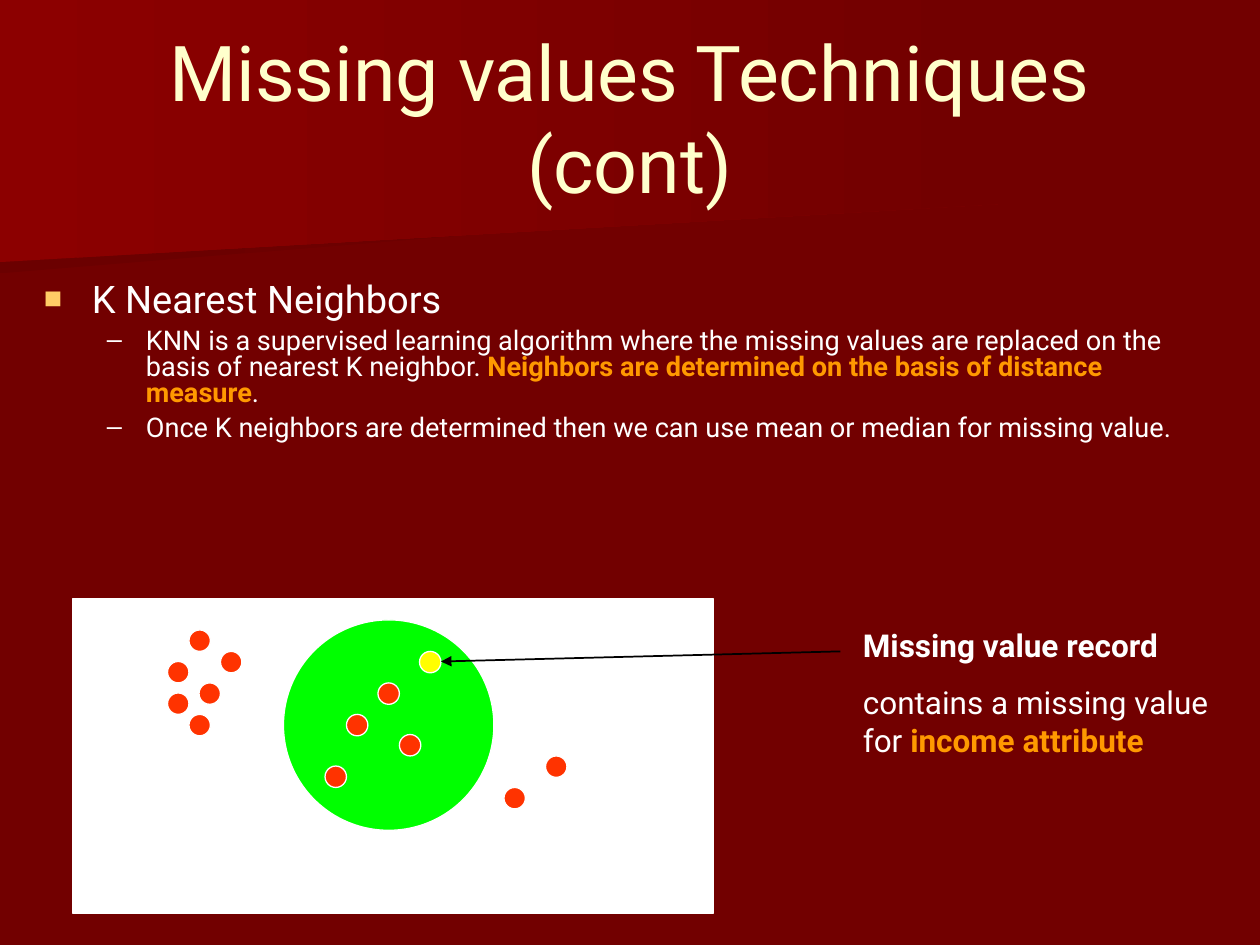
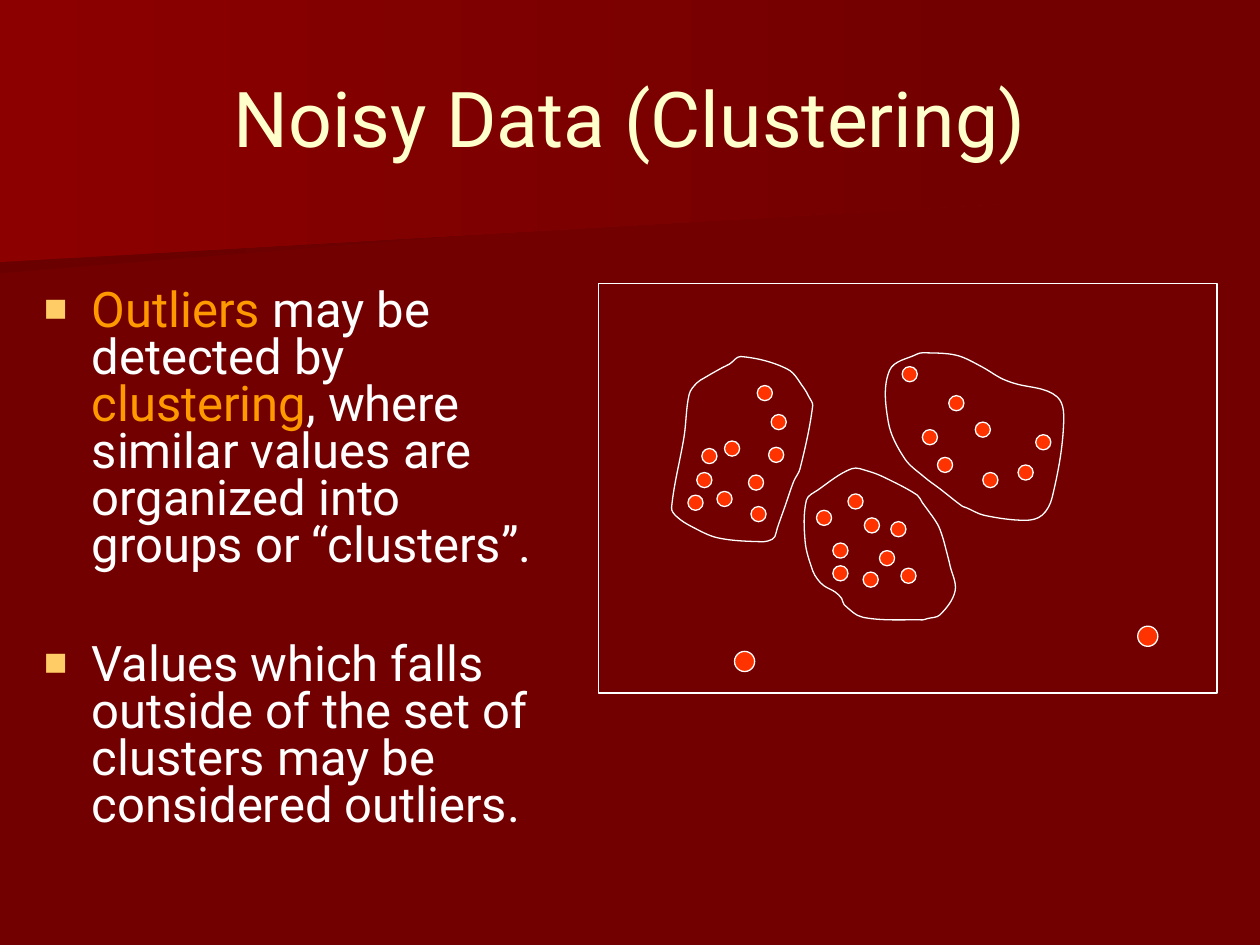
"""Build two slides on missing values and noisy data."""
import math
import pptx
import pptx.util
import pptx.dml.color
import pptx.enum.shapes
import pptx.enum.text
import pptx.oxml

PX = 9144
FONT, SIGN = "Roboto", "Arial"
WINE, CREAM, WHITE, HOT, GOLD = "720000", "FFFFCC", "FFFFFF", "FF9900", "FFCC66"
RED, GREEN, YELLOW, BLACK = "FF3300", "00FF00", "FFFF00", "000000"
KIND = pptx.enum.shapes.MSO_SHAPE

BANDS = [
    ("6B0000", [(778, 153), (0, 217), (0, 101), (779, 101), (778, 128)]),
    ("8C0000", [(792, 162), (0, 208), (0, 0), (792, 0)]),
]

# Text between asterisks is highlighted.
KNN = {
    "title": "Missing values Techniques (cont)",
    "box": (25, 221, 942, 196),
    "text": [
        {"text": "K Nearest Neighbors", "size": 21.7, "mark": "■", "gap": 7},
        {"text": "KNN is a supervised learning algorithm where the missing values are replaced "
                 "on the basis of nearest K neighbor. "
                 "*Neighbors are determined on the basis of distance measure*.",
         "size": 15.5, "mark": "–", "gap": 5, "strong": True},
        {"text": "Once K neighbors are determined then we can use mean or median "
                 "for missing value.", "size": 15.5, "mark": "–", "gap": 5},
    ],
}
NOTE = [
    {"text": "Missing value record", "size": 18, "gap": 11.2, "bold": True},
    {"text": "contains a missing value for *income attribute*", "size": 18, "gap": 11.2,
     "strong": True},
]
NEAR = [(150, 500), (133, 525), (158, 542), (133, 550), (150, 567), (175, 517), (300, 542),
        (275, 567), (317, 583), (258, 608), (400, 625), (433, 600)]

NOISE = {
    "title": "Noisy Data (Clustering)",
    "box": (25, 225, 425, 492),
    "text": [
        {"text": "*Outliers* may be detected by *clustering*, where similar values are "
                 "organized into groups or “clusters”.", "size": 28, "mark": "■", "gap": 7},
        {"text": "Values which falls outside of the set of clusters may be considered outliers.",
         "size": 28, "mark": "■", "gap": 41},
    ],
}
GROUPS = [
    {"dots": [(569, 390), (553, 375), (594, 377), (575, 350), (546, 393), (557, 356),
              (596, 402), (610, 355), (612, 329), (601, 306)],
     "edge": [(630, 382), (623, 402), (617, 419), (615, 426), (613, 428), (606, 430),
              (570, 427), (549, 418), (537, 410), (533, 403), (543, 346), (547, 313),
              (553, 304), (559, 300), (573, 292), (579, 289), (588, 283), (625, 293),
              (638, 308), (642, 315), (645, 322), (635, 372)]},
    {"dots": [(753, 314), (744, 363), (774, 335), (732, 341), (822, 345), (808, 369),
              (780, 375), (716, 291)],
     "edge": [(839, 315), (844, 339), (835, 395), (827, 409), (814, 413), (781, 409),
              (767, 403), (764, 402), (746, 388), (734, 379), (718, 364), (705, 335),
              (706, 294), (728, 281), (733, 280), (759, 282), (779, 291), (794, 300),
              (804, 304)]},
    {"dots": [(648, 405), (707, 414), (685, 454), (698, 437), (661, 431), (661, 449),
              (673, 392), (686, 411), (715, 451)],
     "edge": [(668, 475), (663, 470), (654, 465), (649, 460), (645, 453), (639, 430),
              (640, 397), (649, 389), (676, 372), (689, 374), (702, 379), (728, 393),
              (732, 399), (735, 403), (744, 416), (748, 426), (751, 437), (754, 449),
              (758, 469), (746, 488), (736, 491), (732, 492), (685, 490), (670, 480)]},
]
FAR = [(903, 497), (583, 517)]


def tint(code):
    return pptx.dml.color.RGBColor.from_string(code)


def paint(shape, fill=None, line=None):
    shape.shadow.inherit = False
    for part, code in ((shape.fill, fill), (shape.line.fill, line)):
        if code:
            part.solid()
            part.fore_color.rgb = tint(code)
        else:
            part.background()
    if line:
        shape.line.width = pptx.util.Pt(0.75)


def place(shape, box):
    shape.left, shape.top, shape.width, shape.height = (n * PX for n in box)


def draw(slide, kind, box, fill=None):
    shape = slide.shapes.add_shape(kind, *(n * PX for n in box))
    paint(shape, fill, WHITE)


def dots(slide, kind, spots, size, fill=RED):
    for x, y in spots:
        draw(slide, kind, (x, y, size, size), fill)


def trace(slide, points):
    spots = [(x * PX, y * PX) for x, y in points]
    pen = slide.shapes.build_freeform(*spots[0], scale=1.0)
    pen.add_line_segments(spots[1:], close=True)
    return pen.convert_to_shape()


def lean(points, i):
    (ax, ay), (cx, cy) = points[i - 1], points[(i + 1) % len(points)]
    span = math.hypot(cx - ax, cy - ay)
    return (cx - ax) / span, (cy - ay) / span


def curve(slide, points):
    shape = trace(slide, points + points[:1])
    left, top = (min(p[n] for p in points) for n in (0, 1))
    for i, step in enumerate(shape._element.xpath(".//a:lnTo")):
        j = (i + 1) % len(points)
        (bx, by), (cx, cy) = points[i], points[j]
        (ux, uy), (vx, vy) = lean(points, i), lean(points, j)
        arm = math.dist(points[i], points[j]) / 3
        bend = add_xml(step.getparent(), "cubicBezTo")
        step.getparent().replace(step, bend)
        for x, y in ((bx + arm * ux, by + arm * uy), (cx - arm * vx, cy - arm * vy), (cx, cy)):
            add_xml(bend, "pt", x=round((x - left) * PX), y=round((y - top) * PX))
    paint(shape, None, WHITE)


def style(run, size, code, bold=False):
    font = run.font
    font.name, font.size, font.bold = FONT, pptx.util.Pt(size), bold
    font.color.rgb = tint(code)


def add_xml(parent, tag, **attrs):
    node = pptx.oxml.parse_xml(
        f'<a:{tag} xmlns:a="http://schemas.openxmlformats.org/drawingml/2006/main"/>')
    for key, value in attrs.items():
        node.set(key, str(value))
    parent.append(node)
    return node


def bullet(para, mark):
    props = para._p.get_or_add_pPr()
    top = mark == "■"
    left, hang = (38, 38) if top else (81, 31)
    props.set("marL", str(left * PX))
    props.set("indent", str(-hang * PX))
    add_xml(add_xml(props, "buClr"), "srgbClr", val=GOLD if top else WHITE)
    add_xml(props, "buSzPct", val=80000 if top else 100000)
    add_xml(props, "buFont", typeface=SIGN)
    add_xml(props, "buChar", char=mark)


def write(slide, box, items):
    frame = slide.shapes.add_textbox(*(n * PX for n in box)).text_frame
    frame.word_wrap = True
    for i, item in enumerate(items):
        para = frame.add_paragraph() if i else frame.paragraphs[0]
        para.space_before = pptx.util.Pt(item["gap"])
        if "mark" in item:
            para.line_spacing = 0.8
            bullet(para, item["mark"])
        for k, part in enumerate(item["text"].split("*")):
            if part:
                run = para.add_run()
                run.text = part
                bold = item.get("strong" if k % 2 else "bold", False)
                style(run, item["size"], HOT if k % 2 else WHITE, bold)


def start(deck, layout, topic):
    slide = deck.slides.add_slide(layout)
    title = slide.shapes.title
    place(title, (50, 30, 900, 125))
    frame = title.text_frame
    frame.text = topic["title"]
    frame.word_wrap = True
    frame.auto_size = pptx.enum.text.MSO_AUTO_SIZE.NONE
    frame.vertical_anchor = pptx.enum.text.MSO_ANCHOR.MIDDLE
    para = frame.paragraphs[0]
    para.alignment = pptx.enum.text.PP_ALIGN.CENTER
    style(para.runs[0], 44, CREAM)
    write(slide, topic["box"], topic["text"])
    return slide


def dress(slide, layout):
    for spot in list(layout.placeholders)[1:]:
        spot._element.getparent().remove(spot._element)
    for i, (code, points) in enumerate(BANDS):
        band = trace(slide, points)
        paint(band)
        band.fill.gradient()
        band.fill.gradient_angle = 0
        for stop, shade in zip(band.fill.gradient_stops, (code, WINE)):
            stop.color.rgb = tint(shade)
        layout.shapes._spTree.insert(2 + i, band._element)


def arrow(slide, tail, head):
    ends = [n * PX for n in (*tail, *head)]
    line = slide.shapes.add_connector(pptx.enum.shapes.MSO_CONNECTOR.STRAIGHT, *ends)
    line.line.color.rgb = tint(BLACK)
    line.line.width = pptx.util.Pt(1)
    add_xml(line.line._get_or_add_ln(), "tailEnd", type="triangle")
    add_xml(line._element.spPr, "effectLst")


def main():
    deck = pptx.Presentation()
    deck.slide_width, deck.slide_height = 1000 * PX, 750 * PX
    fill = deck.slide_master.background.fill
    fill.solid()
    fill.fore_color.rgb = tint(WINE)
    layout = deck.slide_layouts[5]

    slide = start(deck, layout, KNN)
    dress(slide, layout)
    draw(slide, KIND.RECTANGLE, (58, 475, 508, 250), WHITE)
    draw(slide, KIND.OVAL, (225, 492, 167, 167), GREEN)
    dots(slide, KIND.OVAL, NEAR, 17)
    dots(slide, KIND.OVAL, [(333, 517)], 17, YELLOW)
    write(slide, (675, 492, 300, 146), NOTE)
    arrow(slide, (667, 517), (350, 525))

    slide = start(deck, layout, NOISE)
    draw(slide, KIND.RECTANGLE, (475, 225, 491, 325))
    for group in GROUPS:
        curve(slide, group["edge"])
        dots(slide, KIND.FLOWCHART_CONNECTOR, group["dots"], 12)
    dots(slide, KIND.FLOWCHART_CONNECTOR, FAR, 16)
    deck.save("out.pptx")


if __name__ == "__main__":
    main()
